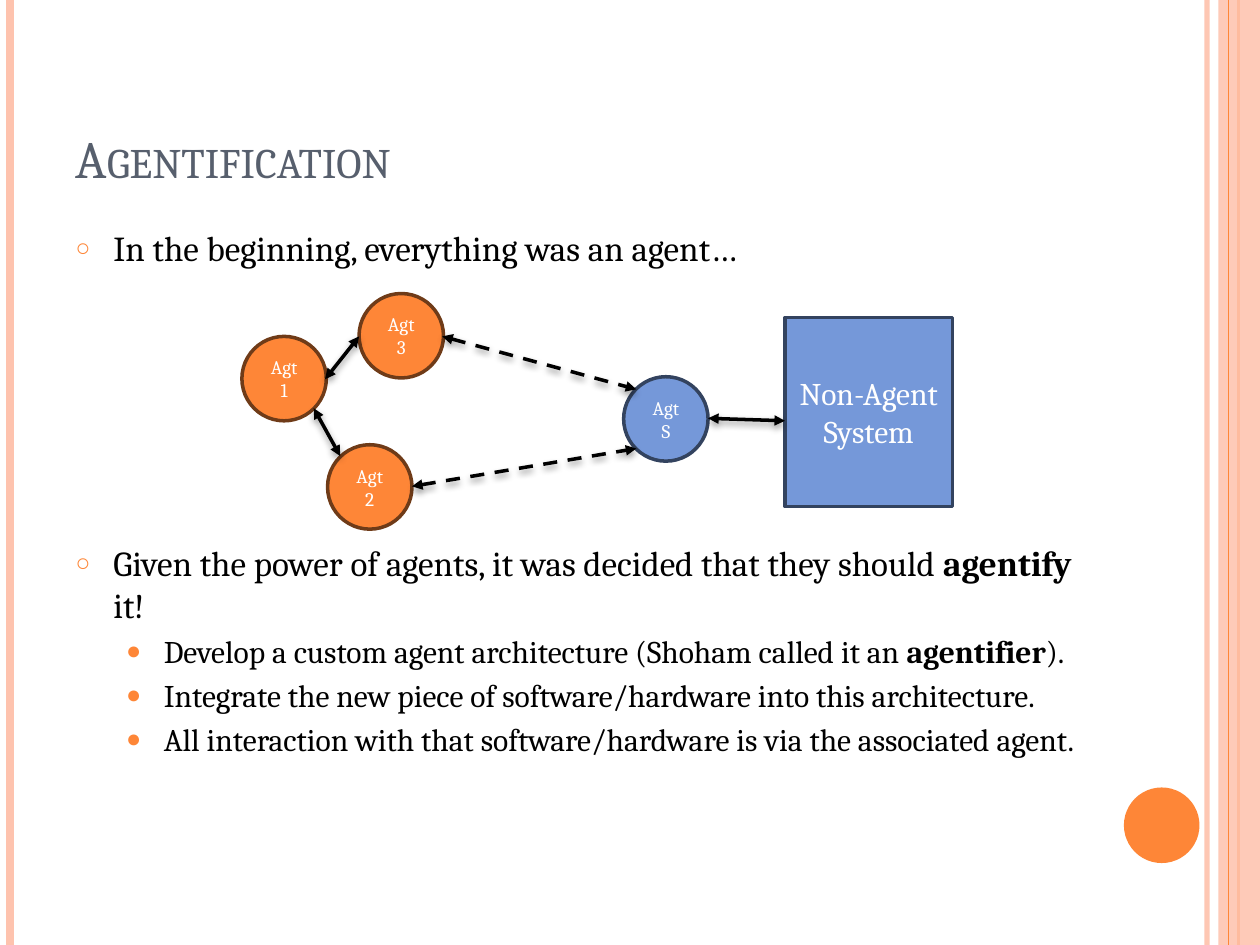
from typing import NamedTuple

from lxml import etree
from pptx import Presentation
from pptx import util as u
from pptx.dml.color import RGBColor
from pptx.enum import dml, shapes, text
from pptx.oxml import parse_xml
from pptx.oxml.ns import nsdecls, qn

FONT = "Cambria"
COLORS = {
    "orange": "FE8637", "brown": "6F3B18", "peach": "FEC3AE",
    "blue": "7598D9", "navy": "33435F", "slate": "575F6D",
    "black": "000000", "white": "FFFFFF",
}
OVAL = shapes.MSO_SHAPE.OVAL
RECTANGLE = shapes.MSO_SHAPE.RECTANGLE
AGENT_SIZE = 0.67


class Rail(NamedTuple):
    x: float
    color: str
    weight: float
    opacity: int = 100


class Node(NamedTuple):
    lines: tuple[str, ...]
    left: float
    top: float
    fill: str
    outline: str
    kind: int = OVAL
    width: float = AGENT_SIZE
    height: float = AGENT_SIZE
    size: int = 11


class Link(NamedTuple):
    start: tuple[float, float]
    end: tuple[float, float]
    dashed: bool = False


class Level(NamedTuple):
    size: int
    indent: float
    bullet: str
    bullet_percent: int


class Item(NamedTuple):
    level: int
    spans: tuple[tuple[str, bool], ...]
    space_before: float


BACK_RAILS = [
    Rail(9.58, "peach", 3, 93),
    Rail(0.08, "peach", 4.5),
    Rail(9.83, "orange", 1.5),
]
FRONT_RAIL = Rail(9.75, "orange", 0.75)
NODES = [
    Node(("Agt 1",), 1.92, 2.67, "orange", "brown"),
    Node(("Agt 2",), 2.6, 3.53, "orange", "brown"),
    Node(("Agt 3",), 2.85, 2.33, "orange", "brown"),
    Node(("Non-Agent", "System"), 6.23, 2.52, "blue", "navy", RECTANGLE, 1.33, 1.5, 18),
    Node(("Agt S",), 4.95, 2.99, "blue", "navy"),
]
LINKS = [
    Link((2.58, 3.01), (2.85, 2.67)),
    Link((2.49, 3.24), (2.7, 3.62)),
    Link((5.62, 3.32), (6.23, 3.34)),
    Link((3.51, 2.67), (5.05, 3.09), dashed=True),
    Link((3.27, 3.86), (5.05, 3.56), dashed=True),
]
LEVELS = [Level(20, 0.3, "○", 70), Level(18, 0.7, "●", 80)]
DIAGRAM_GAP = 156
ITEMS = [
    Item(0, (("In the beginning, everything was an agent…", False),), 6),
    Item(0, (("Given the power of agents, it was decided that they should ", False),
             ("agentify ", True), ("it!", False)), DIAGRAM_GAP),
    Item(1, (("Develop a custom agent architecture (Shoham called it an ", False),
             ("agentifier", True), (").", False)), 3.6),
    Item(1, (("Integrate the new piece of software/hardware into this architecture.", False),), 3.6),
    Item(1, (("All interaction with that software/hardware is via the associated agent.", False),), 3.6),
]


def rgb(name: str) -> RGBColor:
    return RGBColor.from_string(COLORS[name])


def style_text(para, size: float, color: str) -> None:
    """Set the font on the paragraph and on its runs, as some viewers skip the former."""
    for font in (para.font, *(span.font for span in para.runs)):
        font.name = FONT
        font.size = u.Pt(size)
        font.color.rgb = rgb(color)


def set_opacity(element, percent: int) -> None:
    color = next(element.iter(qn("a:srgbClr")))
    etree.SubElement(color, qn("a:alpha"), val=str(percent * 1000))


def add_line(page, start: tuple[float, float], end: tuple[float, float], color: str, weight: float):
    line = page.shapes.add_connector(
        shapes.MSO_CONNECTOR.STRAIGHT, *map(u.Inches, (*start, *end)))
    line.line.color.rgb = rgb(color)
    line.line.width = u.Pt(weight)
    etree.SubElement(line._element.spPr, qn("a:effectLst"))
    return line


def add_rail(page, rail: Rail) -> None:
    line = add_line(page, (rail.x, 0), (rail.x, 7.5), rail.color, rail.weight)
    if rail.opacity < 100:
        set_opacity(line._element.spPr, rail.opacity)


def add_plain_shape(page, kind: int, at: tuple[float, ...], fill: str):
    shape = page.shapes.add_shape(kind, *map(u.Inches, at))
    shape.shadow.inherit = False
    shape.fill.solid()
    shape.fill.fore_color.rgb = rgb(fill)
    shape.line.fill.background()
    return shape


def add_node(page, node: Node) -> None:
    shape = add_plain_shape(
        page, node.kind, (node.left, node.top, node.width, node.height), node.fill)
    shape.line.color.rgb = rgb(node.outline)
    shape.line.width = u.Pt(2)
    frame = shape.text_frame
    frame.word_wrap = True
    frame.vertical_anchor = text.MSO_ANCHOR.MIDDLE
    frame.text = "\n".join(node.lines)
    for para in frame.paragraphs:
        para.alignment = text.PP_ALIGN.CENTER
        style_text(para, node.size, "white")


def add_link(page, link: Link) -> None:
    """Draw a double-headed arrow with a soft shadow below it."""
    line = add_line(page, link.start, link.end, "black", 2)
    if link.dashed:
        line.line.dash_style = dml.MSO_LINE.DASH
    for end in ("a:headEnd", "a:tailEnd"):
        etree.SubElement(line.line._get_or_add_ln(), qn(end), type="triangle")
    line._element.spPr.find(qn("a:effectLst")).append(parse_xml(
        f'<a:outerShdw {nsdecls("a")} blurRad="{u.Pt(4)}" dist="{u.Pt(2)}" dir="5400000" '
        f'rotWithShape="0"><a:srgbClr val="{COLORS["black"]}"><a:alpha val="40000"/>'
        '</a:srgbClr></a:outerShdw>'))


def place(box, left: float, top: float, width: float, height: float) -> None:
    box.left, box.top, box.width, box.height = map(u.Inches, (left, top, width, height))
    box.text_frame.word_wrap = True
    box.text_frame.auto_size = text.MSO_AUTO_SIZE.NONE


def fill_title(box) -> None:
    place(box, 0.5, 0.3, 8.17, 1.25)
    box.text_frame.vertical_anchor = text.MSO_ANCHOR.BOTTOM
    box.text_frame.text = "Agentification"
    para = box.text_frame.paragraphs[0]
    para.alignment = text.PP_ALIGN.LEFT
    style_text(para, 30, "slate")
    para.runs[0]._r.get_or_add_rPr().set("cap", "small")


def set_bullet(para, level: Level) -> None:
    props = para._p.get_or_add_pPr()
    props.set("marL", str(u.Inches(level.indent)))
    props.set("indent", str(u.Inches(-0.3)))
    color = etree.SubElement(props, qn("a:buClr"))
    etree.SubElement(color, qn("a:srgbClr"), val=COLORS["orange"])
    etree.SubElement(props, qn("a:buSzPct"), val=str(level.bullet_percent * 1000))
    etree.SubElement(props, qn("a:buChar"), char=level.bullet)


def fill_body(box) -> None:
    place(box, 0.5, 1.75, 8.17, 5.33)
    frame = box.text_frame
    for index, item in enumerate(ITEMS):
        para = frame.add_paragraph() if index else frame.paragraphs[0]
        para.level = item.level
        para.space_before = u.Pt(item.space_before)
        level = LEVELS[item.level]
        set_bullet(para, level)
        for words, bold in item.spans:
            span = para.add_run()
            span.text = words
            span.font.bold = bold
        style_text(para, level.size, "black")


def main() -> None:
    deck = Presentation()
    deck.slide_width, deck.slide_height = u.Inches(10), u.Inches(7.5)
    page = deck.slides.add_slide(deck.slide_layouts[1])
    for rail in BACK_RAILS:
        add_rail(page, rail)
    band = add_plain_shape(page, RECTANGLE, (9.67, 0, 0.33, 7.5), "peach")
    set_opacity(band._element.spPr, 87)
    add_rail(page, FRONT_RAIL)
    add_plain_shape(page, OVAL, (8.92, 6.25, 0.6, 0.6), "orange")
    fill_title(page.shapes.title)
    fill_body(page.placeholders[1])
    for node in NODES:
        add_node(page, node)
    for link in LINKS:
        add_link(page, link)
    deck.save("out.pptx")


if __name__ == "__main__":
    main()
